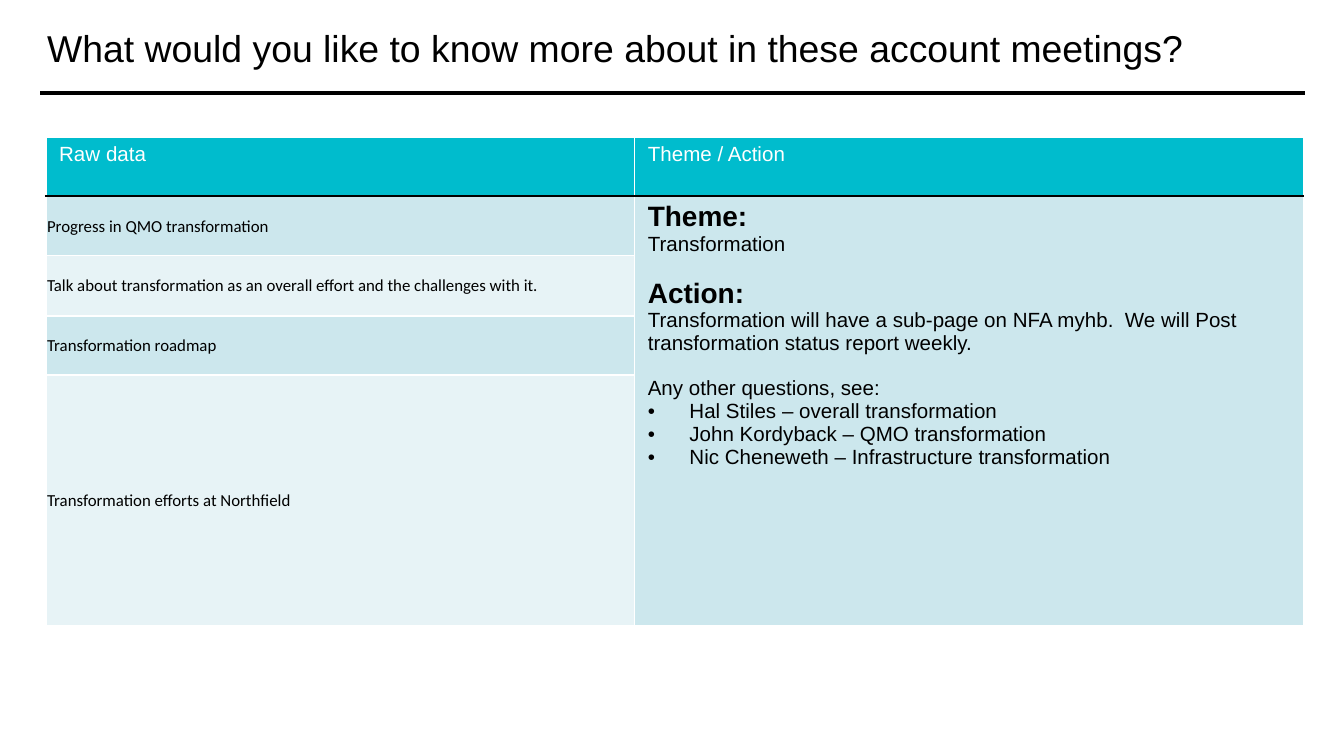
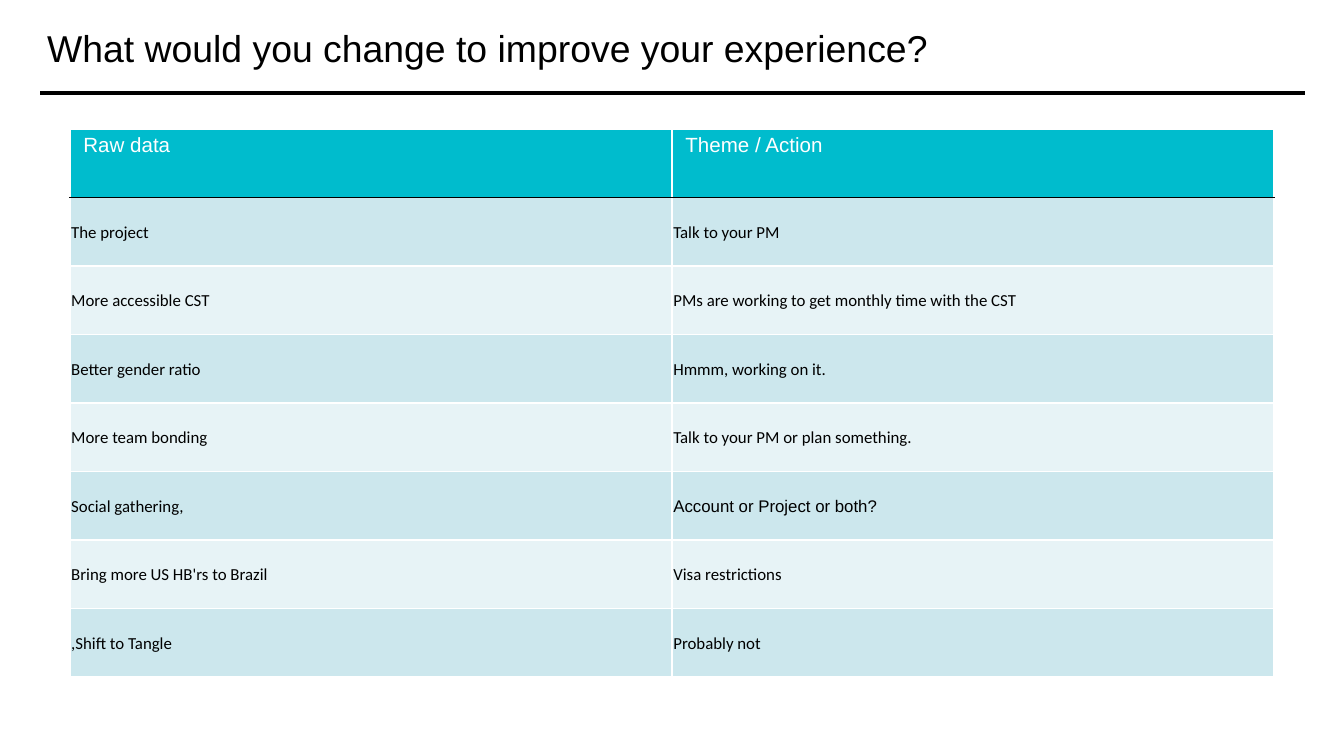
from lxml import etree
from pptx import Presentation
from pptx.dml.color import RGBColor
from pptx.enum.shapes import MSO_CONNECTOR
from pptx.enum.text import MSO_ANCHOR, MSO_AUTO_SIZE, PP_ALIGN
from pptx.oxml.ns import qn
from pptx.util import Inches, Pt

STRAIGHT = MSO_CONNECTOR.STRAIGHT
TOP, MIDDLE = MSO_ANCHOR.TOP, MSO_ANCHOR.MIDDLE
LEFT = PP_ALIGN.LEFT
NO_AUTOFIT = MSO_AUTO_SIZE.NONE

COLORS = {
    "black": "000000",
    "white": "FFFFFF",
    "header": "00BCCD",
    "dark_band": "CCE7ED",
    "light_band": "E7F3F6",
}
HEADING_FONT, DATA_FONT = "Arial", "Calibri"
TITLE_LAYOUT = 5
SLIDE_WIDTH = Inches(10)
SLIDE_HEIGHT = SLIDE_WIDTH * 9 // 16
WIDE_MARGINS = (0.1, 0.04, 0.1, 0.04)
TIGHT_MARGINS = (0.01, 0.01, 0.01, 0)
HEADERS = ("Raw data", "Theme / Action")

HEADING = {"size": 15, "bold": True}
BULLET = {"bullet": True}
NEW_BLOCK = {"before": 12}

# Each paragraph of the merged cell: text and what differs from plain text
THEME_AND_ACTION = [
    ("Theme:", HEADING),
    ("Transformation", {}),
    ("Action:", HEADING | NEW_BLOCK),
    ("Transformation will have a sub-page on NFA myhb.  We will Post "
     "transformation status report weekly.", {}),
    ("Any other questions, see:", NEW_BLOCK),
    ("Hal Stiles – overall transformation", BULLET),
    ("John Kordyback – QMO transformation", BULLET),
    ("Nic Cheneweth – Infrastructure transformation", BULLET),
]

SLIDES = [
    {
        "title": "What would you like to know more about in these account meetings?",
        "position": (0.34, 1.02),
        "columns": (4.38, 4.98),
        "row_heights": (0.44, 0.44, 0.45, 0.44, 1.87),
        "rows": [
            ("Progress in QMO transformation",),
            ("Talk about transformation as an overall effort and the challenges with it.",),
            ("Transformation roadmap",),
            ("Transformation efforts at Northfield",),
        ],
        "merged": THEME_AND_ACTION,
    },
    {
        "title": "What would you change to improve your experience?",
        "position": (0.52, 0.96),
        "columns": (4.48, 4.48),
        "row_heights": (0.51,) * 8,
        "rows": [
            ("The project", "Talk to your PM"),
            ("More accessible CST", "PMs are working to get monthly time with the CST"),
            ("Better gender ratio", "Hmmm, working on it."),
            ("More team bonding", "Talk to your PM or plan something."),
            ("Social gathering,", "Account or Project or both?"),
            ("Bring more US HB'rs to Brazil", "Visa restrictions"),
            (",Shift to Tangle", "Probably not"),
        ],
        "arial_cells": {(5, 1)},
    },
]


def rgb(name):
    """Return the named palette colour."""
    return RGBColor.from_string(COLORS[name])


def write_paragraph(paragraph, text, size=11, font=HEADING_FONT, color="black",
                    bold=False, before=0, bullet=False):
    """Write one formatted run into a paragraph."""
    run = paragraph.add_run()
    run.text = text
    run.font.size = Pt(size)
    run.font.name = font
    run.font.bold = bold
    run.font.color.rgb = rgb(color)
    paragraph.alignment = LEFT
    paragraph.space_before = Pt(before)
    if bullet:
        properties = paragraph._p.get_or_add_pPr()
        properties.set("marL", str(Inches(0.31)))
        properties.set("indent", str(Inches(-0.31)))
        etree.SubElement(properties, qn("a:buFont")).set("typeface", font)
        etree.SubElement(properties, qn("a:buChar")).set("char", "•")


def set_margins(target, margins):
    """Set left, top, right and bottom margins of a cell or text frame."""
    target.margin_left, target.margin_top, target.margin_right, target.margin_bottom = (
        Inches(margin) for margin in margins)


def set_borders(cell, row):
    """Draw white borders, with a black rule between header and data."""
    properties = cell._tc.get_or_add_tcPr()
    black_side = {0: "lnB", 1: "lnT"}.get(row)
    for side in ("lnL", "lnR", "lnT", "lnB"):
        line = etree.SubElement(properties, qn(f"a:{side}"), w=str(Pt(1)))
        fill = etree.SubElement(line, qn("a:solidFill"))
        color = "black" if side == black_side else "white"
        etree.SubElement(fill, qn("a:srgbClr")).set("val", COLORS[color])


def style_cell(cell, row):
    """Give a cell the borders, fill, margins and anchor of its row."""
    set_borders(cell, row)
    band = "header" if row == 0 else "dark_band" if row % 2 else "light_band"
    cell.fill.solid()
    cell.fill.fore_color.rgb = rgb(band)
    set_margins(cell, TIGHT_MARGINS if row else WIDE_MARGINS)
    cell.vertical_anchor = MIDDLE if row else TOP


def fill_merged_cell(table, paragraphs):
    """Merge the second column below its header and write the paragraphs."""
    cell = table.cell(1, 1)
    cell.merge(table.cell(len(table.rows) - 1, 1))
    set_margins(cell, WIDE_MARGINS)
    cell.vertical_anchor = TOP
    for index, (text, formatting) in enumerate(paragraphs):
        frame = cell.text_frame
        paragraph = frame.add_paragraph() if index else frame.paragraphs[0]
        write_paragraph(paragraph, text, **formatting)


def add_data_table(slide, content):
    """Add the table of raw data and themes."""
    widths, heights = content["columns"], content["row_heights"]
    left, top = content["position"]
    table = slide.shapes.add_table(
        len(heights), len(widths), Inches(left), Inches(top),
        Inches(sum(widths)), Inches(sum(heights))).table
    table.horz_banding = False
    for column, width in zip(table.columns, widths):
        column.width = Inches(width)
    for row, height in zip(table.rows, heights):
        row.height = Inches(height)

    for row in range(len(heights)):
        for column in range(len(widths)):
            style_cell(table.cell(row, column), row)

    for row, texts in enumerate([HEADERS] + content["rows"]):
        for column, text in enumerate(texts):
            paragraph = table.cell(row, column).text_frame.paragraphs[0]
            if row == 0:
                write_paragraph(paragraph, text, color="white")
            else:
                is_arial = (row, column) in content.get("arial_cells", ())
                font = HEADING_FONT if is_arial else DATA_FONT
                write_paragraph(paragraph, text, size=9, font=font)
    if "merged" in content:
        fill_merged_cell(table, content["merged"])


def add_title(slide, text):
    """Write the slide title and draw the rule under it."""
    rule = slide.shapes.add_connector(
        STRAIGHT, Inches(0.3), Inches(0.69), Inches(9.71), Inches(0.69))
    rule.line.color.rgb = rgb("black")
    rule.line.width = Pt(2)
    etree.SubElement(rule._element.spPr, qn("a:effectLst"))

    title = slide.shapes.title
    title.left, title.top = Inches(0.29), Inches(0.18)
    title.width, title.height = Inches(9.41), Inches(0.42)
    frame = title.text_frame
    frame.word_wrap = True
    frame.auto_size = NO_AUTOFIT
    frame.vertical_anchor = MIDDLE
    set_margins(frame, (0.06,) * 4)
    paragraph = frame.paragraphs[0]
    write_paragraph(paragraph, text, size=20)
    paragraph.line_spacing = 0.75


def build():
    """Build and save the presentation."""
    presentation = Presentation()
    presentation.slide_width = SLIDE_WIDTH
    presentation.slide_height = SLIDE_HEIGHT
    for content in SLIDES:
        slide = presentation.slides.add_slide(presentation.slide_layouts[TITLE_LAYOUT])
        add_title(slide, content["title"])
        add_data_table(slide, content)
    presentation.save("out.pptx")


build()
